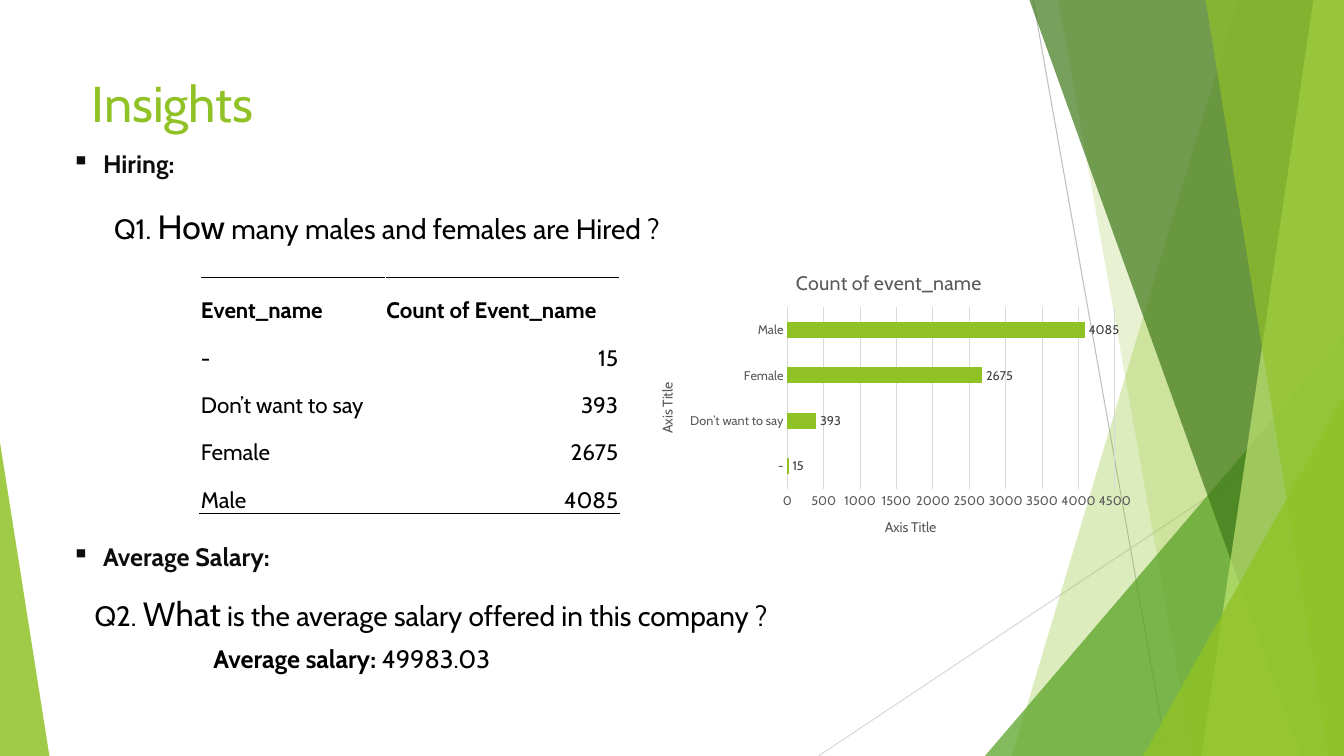
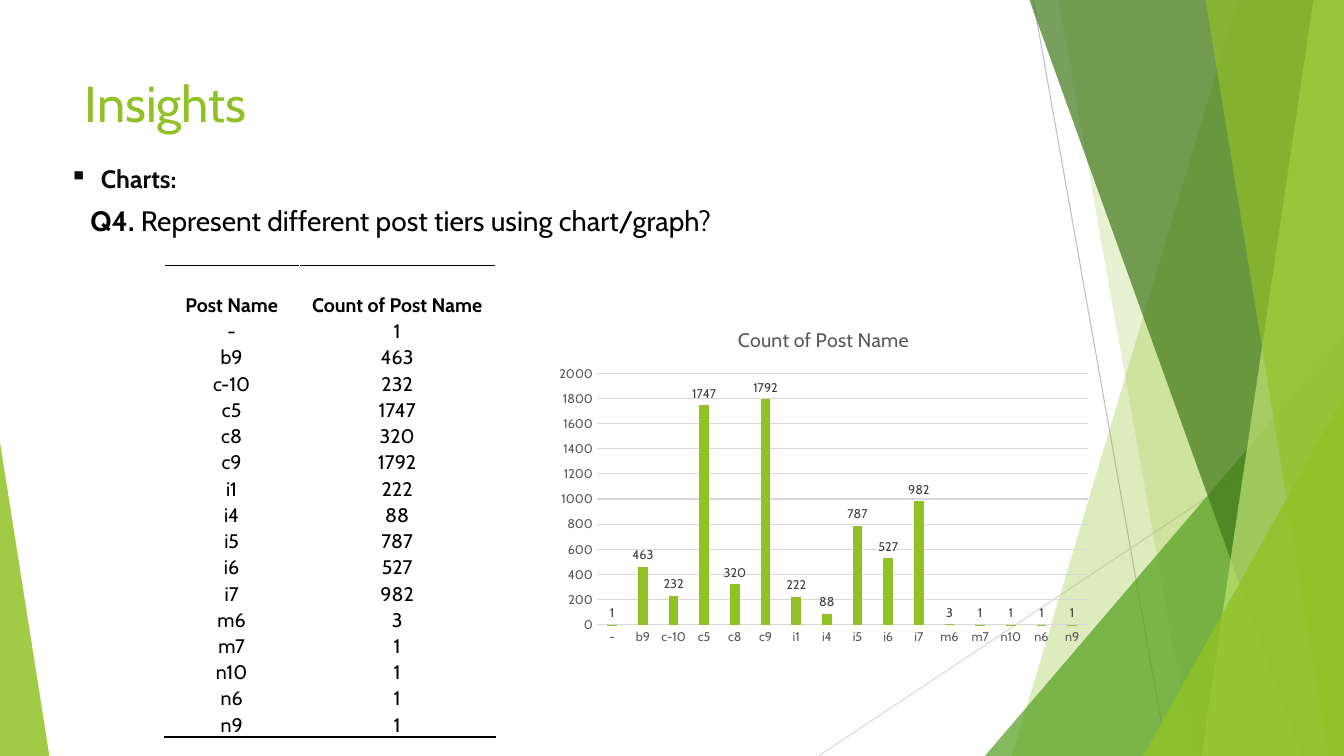
from dataclasses import dataclass
from typing import Any, NamedTuple, Optional, Union

import pptx
import pptx.chart.data
import pptx.dml.color
import pptx.enum.chart
import pptx.enum.shapes
import pptx.enum.text
import pptx.oxml
import pptx.oxml.ns
import pptx.util

Pt = pptx.util.Pt
RGBColor = pptx.dml.color.RGBColor
ChartType = pptx.enum.chart.XL_CHART_TYPE
Align = pptx.enum.text.PP_ALIGN
Anchor = pptx.enum.text.MSO_ANCHOR
qn = pptx.oxml.ns.qn

FONT = "Cabin"
WIDTH, HEIGHT = 960, 540
GREEN = RGBColor(0x90, 0xC2, 0x26)
MID_GREEN = RGBColor(0x54, 0xA0, 0x21)
DARK_GREEN = RGBColor(0x3F, 0x78, 0x19)
PALE_GREEN = RGBColor(0xC0, 0xE4, 0x74)
BLACK = RGBColor(0, 0, 0)
HEADING = RGBColor(0x0D, 0x0D, 0x0D)
LABEL_GREY = RGBColor(0x40, 0x40, 0x40)
TEXT_GREY = RGBColor(0x59, 0x59, 0x59)
LINE_GREY = RGBColor(0xBF, 0xBF, 0xBF)
GRID_GREY = RGBColor(0xD9, 0xD9, 0xD9)


class Box(NamedTuple):
    left: float
    top: float
    width: float
    height: float


class Run(NamedTuple):
    text: str
    size: float
    bold: bool = False


class Ray(NamedTuple):
    begin: tuple[float, float]
    end: tuple[float, float]
    color: RGBColor


@dataclass
class Pane:
    """A full-height facet from a slanted left edge to the right slide edge."""

    top_x: float
    bottom_x: float
    color: RGBColor
    opacity: int


@dataclass
class Triangle:
    box: Box
    tip: float
    color: RGBColor
    opacity: int


@dataclass
class CountTable:
    box: Box
    headers: tuple[str, str]
    columns: tuple[float, float]
    header_height: float
    row_height: float
    size: float
    alignments: tuple[Any, Any]


@dataclass
class CountChart:
    box: Box
    kind: Any
    title: str
    maximum: int
    step: int
    gap: int
    overlap: int = 0
    axis_title: Optional[str] = None


RAYS = (
    Ray((738, 0), (833.8, HEIGHT), LINE_GREY),
    Ray((WIDTH, 290.2), (584.6, HEIGHT), GRID_GREY),
)
FACETS: tuple[Union[Pane, Triangle], ...] = (
    Pane(884.2, 722.9, GREEN, 30),
    Pane(756, 851.8, GREEN, 20),
    Triangle(Box(703.5, 240, 256.5, 300), 1, MID_GREEN, 72),
    Pane(735.3, 929.5, DARK_GREEN, 70),
    Pane(938.2, 858.2, PALE_GREEN, 70),
    Pane(861.1, 949, GREEN, 65),
    Triangle(Box(816.5, 283, 143.5, 257), 1, GREEN, 80),
    Triangle(Box(0, 316, 35.3, 224), 0, GREEN, 85),
)
HIRED = {"-": 15, "Don’t want to say": 393, "Female": 2675, "Male": 4085}
POSTS = {
    "-": 1, "b9": 463, "c-10": 232, "c5": 1747, "c8": 320, "c9": 1792,
    "i1": 222, "i4": 88, "i5": 787, "i6": 527, "i7": 982, "m6": 3,
    "m7": 1, "n10": 1, "n6": 1, "n9": 1,
}


def points(values: tuple) -> list[int]:
    return [Pt(value) for value in values]


def set_attributes(target: Any, values: dict[str, Any]) -> None:
    for name, value in values.items():
        setattr(target, name, value)


def style_font(font: Any, size: float, color: RGBColor, bold: bool = False) -> None:
    set_attributes(font, {"name": FONT, "size": Pt(size), "bold": bold})
    font.color.rgb = color


def add_ray(shapes: Any, ray: Ray) -> None:
    straight = pptx.enum.shapes.MSO_CONNECTOR.STRAIGHT
    connector = shapes.add_connector(straight, *points(ray.begin + ray.end))
    connector.line.color.rgb = ray.color
    connector.line.width = Pt(0.75)
    properties = connector.element.spPr
    properties.append(properties.makeelement(qn("a:effectLst"), {}))


def add_facet(shapes: Any, facet: Union[Pane, Triangle]) -> None:
    if isinstance(facet, Pane):
        builder = shapes.build_freeform(Pt(facet.top_x), 0)
        corners = ((WIDTH, 0), (WIDTH, HEIGHT), (facet.bottom_x, HEIGHT))
        builder.add_line_segments([points(corner) for corner in corners])
        shape = builder.convert_to_shape()
    else:
        kind = pptx.enum.shapes.MSO_SHAPE.ISOSCELES_TRIANGLE
        shape = shapes.add_shape(kind, *points(facet.box))
        shape.adjustments[0] = facet.tip
    shape.shadow.inherit = False
    shape.line.fill.background()
    shape.fill.solid()
    shape.fill.fore_color.rgb = facet.color
    color = shape.element.spPr.find(".//" + qn("a:srgbClr"))
    alpha = color.makeelement(qn("a:alpha"), {"val": str(facet.opacity * 1000)})
    color.append(alpha)


def decorate_layout(layout: Any, slide: Any) -> None:
    """Draw the facets on the slide, then move them to its layout."""
    group = slide.shapes.add_group_shape()
    for ray in RAYS:
        add_ray(group.shapes, ray)
    for facet in FACETS:
        add_facet(group.shapes, facet)
    tree = layout.shapes.element
    tree.insert(2, group.element)
    for number, properties in enumerate(tree.iter(qn("p:cNvPr")), 1):
        properties.set("id", str(number))


def write_runs(paragraph: Any, runs: list[Run], color: RGBColor) -> None:
    for item in runs:
        run = paragraph.add_run()
        run.text = item.text
        style_font(run.font, item.size, color, item.bold)


def set_title(slide: Any, box: Box) -> None:
    title = slide.shapes.title
    set_attributes(title, dict(zip(Box._fields, points(box))))
    title.text_frame.vertical_anchor = Anchor.TOP
    paragraph = title.text_frame.paragraphs[0]
    paragraph.alignment = Align.LEFT
    write_runs(paragraph, [Run("Insights", 36)], GREEN)


def add_text(slide: Any, box: Box, runs: list[Run], color: RGBColor = BLACK,
             alignment: Any = Align.LEFT) -> Any:
    frame = slide.shapes.add_textbox(*points(box)).text_frame
    frame.word_wrap = True
    paragraph = frame.paragraphs[0]
    paragraph.alignment = alignment
    write_runs(paragraph, runs, color)
    return paragraph


def add_heading(slide: Any, box: Box, text: str) -> None:
    paragraph = add_text(slide, box, [Run(text, 18, True)], HEADING)
    properties = paragraph._p.get_or_add_pPr()
    indent = Pt(22.5)
    properties.set("marL", str(indent))
    properties.set("indent", str(-indent))
    bullet = properties.makeelement(qn("a:buChar"), {"char": "▪"})
    properties.append(bullet)


def add_border(cell: Any, side: str) -> None:
    border = pptx.oxml.parse_xml(
        f'<a:{side} xmlns:a="http://schemas.openxmlformats.org/drawingml/2006/main"'
        f' w="{Pt(1)}"><a:solidFill><a:srgbClr val="{BLACK}"/></a:solidFill></a:{side}>'
    )
    cell._tc.get_or_add_tcPr().insert(0, border)


def add_count_table(slide: Any, design: CountTable, counts: dict[str, int]) -> None:
    rows = [design.headers, *counts.items()]
    table = slide.shapes.add_table(len(rows), 2, *points(design.box)).table
    set_attributes(table, {"first_row": False, "horz_banding": False})
    for column, width in zip(table.columns, design.columns):
        column.width = Pt(width)
    cell_format = {
        "margin_left": Pt(0.75), "margin_right": Pt(0.75), "margin_top": Pt(0.75),
        "margin_bottom": 0, "vertical_anchor": Anchor.BOTTOM,
    }
    for row_index, values in enumerate(rows):
        is_header = row_index == 0
        height = design.header_height if is_header else design.row_height
        table.rows[row_index].height = Pt(height)
        alignments = design.alignments
        if is_header and Align.RIGHT in alignments:
            alignments = (Align.LEFT, Align.LEFT)
        for column_index, value in enumerate(values):
            cell = table.cell(row_index, column_index)
            set_attributes(cell, cell_format)
            cell.fill.background()
            paragraph = cell.text_frame.paragraphs[0]
            paragraph.alignment = alignments[column_index]
            write_runs(paragraph, [Run(str(value), design.size, is_header)], BLACK)
            if is_header:
                add_border(cell, "lnT")
            elif row_index == len(rows) - 1:
                add_border(cell, "lnB")


def set_chart_title(owner: Any, title: Any, text: str, size: float) -> None:
    owner.has_title = True
    write_runs(title.text_frame.paragraphs[0], [Run(text, size)], TEXT_GREY)


def add_count_chart(slide: Any, design: CountChart, counts: dict[str, int]) -> None:
    data = pptx.chart.data.CategoryChartData()
    data.categories = list(counts)
    data.add_series("Series 1", list(counts.values()))
    chart = slide.shapes.add_chart(design.kind, *points(design.box), data).chart
    chart.has_legend = False
    style_font(chart.font, 10, BLACK)
    set_chart_title(chart, chart.chart_title, design.title, 14)

    for axis in (chart.category_axis, chart.value_axis):
        axis.major_tick_mark = pptx.enum.chart.XL_TICK_MARK.NONE
        style_font(axis.tick_labels.font, 9, TEXT_GREY)
        if design.axis_title:
            set_chart_title(axis, axis.axis_title, design.axis_title, 10)
    value_axis = chart.value_axis
    value_axis.format.line.fill.background()
    set_attributes(value_axis, {
        "minimum_scale": 0, "maximum_scale": design.maximum,
        "major_unit": design.step, "has_major_gridlines": True,
    })
    for owner in (chart.category_axis, value_axis.major_gridlines):
        owner.format.line.color.rgb = GRID_GREY
        owner.format.line.width = Pt(0.75)

    plot = chart.plots[0]
    set_attributes(plot, {
        "vary_by_categories": False, "gap_width": design.gap,
        "overlap": design.overlap, "has_data_labels": True,
    })
    fill = plot.series[0].format.fill
    fill.solid()
    fill.fore_color.rgb = GREEN
    labels = plot.data_labels
    outside_end = pptx.enum.chart.XL_LABEL_POSITION.OUTSIDE_END
    set_attributes(labels, {"show_value": True, "position": outside_end})
    style_font(labels.font, 9, LABEL_GREY)


def fill_hiring_slide(slide: Any) -> None:
    set_title(slide, Box(58.3, 48.2, 677, 61))
    add_heading(slide, Box(44, 102.2, 96, 29), "Hiring:")
    add_text(slide, Box(60.5, 143.3, 432, 36),
             [Run("Q1. ", 20), Run("How", 24),
              Run(" many males and females are Hired ?", 20)], alignment=Align.CENTER)
    add_count_table(slide, CountTable(
        Box(142.8, 198, 299.5, 169), ("Event_name", "Count of Event_name"),
        (132.5, 167), 33.8, 33.8, 16, (Align.LEFT, Align.RIGHT)), HIRED)
    add_count_chart(slide, CountChart(
        Box(455, 181.5, 360, 216), ChartType.BAR_CLUSTERED, "Count of event_name",
        4500, 500, 182, axis_title="Axis Title"), HIRED)
    add_heading(slide, Box(44, 383, 179, 29), "Average Salary:")
    add_text(slide, Box(60.5, 419.8, 536, 36),
             [Run("Q2. ", 20), Run("What", 24),
              Run(" is the average salary offered in this company ?", 20)])
    add_text(slide, Box(145.4, 455.8, 235, 29),
             [Run("Average salary: ", 18, True), Run("49983.03", 18)])


def fill_posts_slide(slide: Any) -> None:
    set_title(slide, Box(53.3, 48.2, 677, 72))
    add_heading(slide, Box(42.5, 113, 104, 29), "Charts:")
    add_text(slide, Box(57.5, 141.8, 686, 31.5),
             [Run("Q4. ", 20, True),
              Run("Represent different post tiers using chart/graph?", 20)])
    add_count_table(slide, CountTable(
        Box(117.2, 189.7, 236.5, 337.2), ("Post Name", "Count of Post Name"),
        (96.5, 140), 37, 18.76, 14, (Align.CENTER, Align.CENTER)), POSTS)
    add_count_chart(slide, CountChart(
        Box(391.7, 221.8, 393, 243.4), ChartType.COLUMN_CLUSTERED,
        "Count of Post Name", 2000, 200, 219, -27), POSTS)


def main() -> None:
    presentation = pptx.Presentation()
    presentation.slide_width, presentation.slide_height = Pt(WIDTH), Pt(HEIGHT)
    layout = presentation.slide_layouts[5]
    hiring_slide, posts_slide = [presentation.slides.add_slide(layout) for _ in range(2)]
    decorate_layout(layout, hiring_slide)
    fill_hiring_slide(hiring_slide)
    fill_posts_slide(posts_slide)
    presentation.save("out.pptx")


if __name__ == "__main__":
    main()
